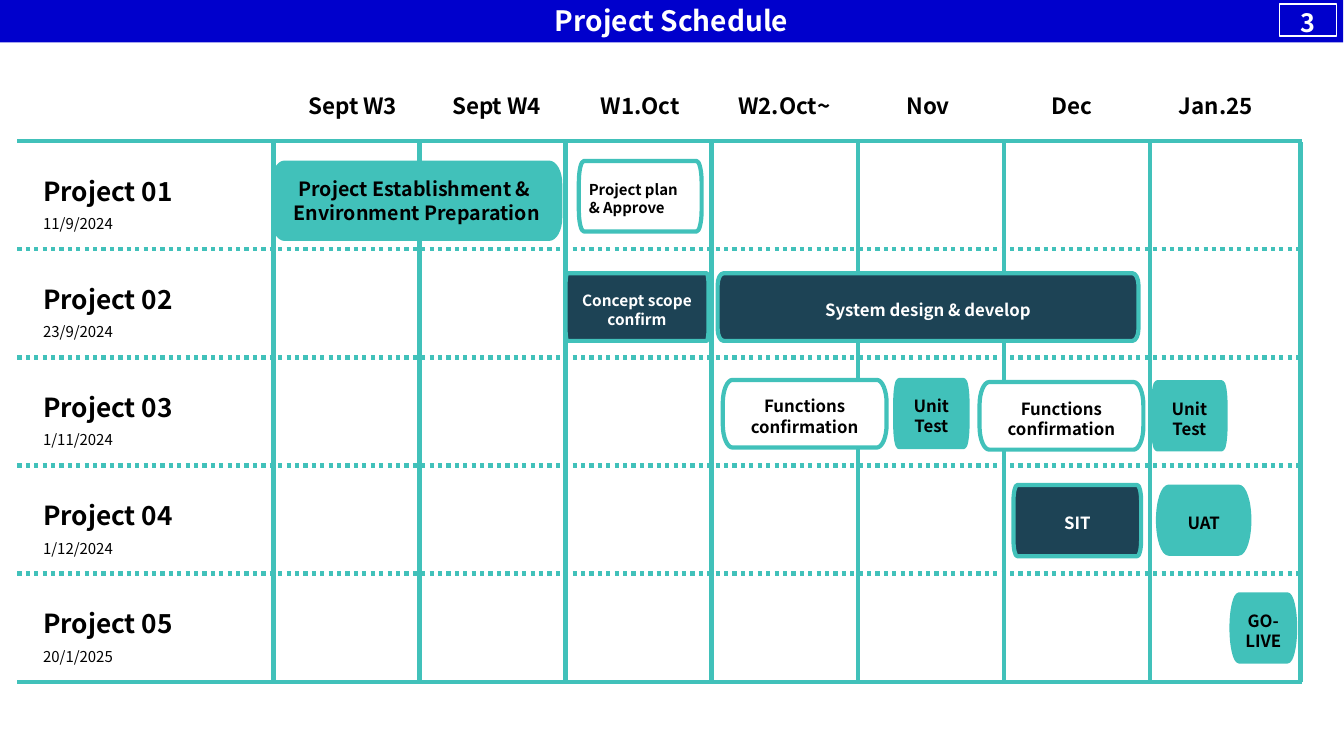
from dataclasses import dataclass
from typing import Any, Optional

from lxml import etree
from pptx import Presentation
from pptx.dml.color import RGBColor
from pptx.enum import dml, shapes, text
from pptx.oxml.ns import qn
from pptx.util import Pt


@dataclass(frozen=True)
class Theme:
    font: str = "Noto Sans CJK JP"
    teal: str = "41C1BA"
    navy: str = "1D4355"
    blue: str = "0000CC"
    white: str = "FFFFFF"
    black: str = "000000"
    title: float = 20
    page: float = 18
    month: float = 16
    project: float = 18.7
    date: float = 10.7
    rule: float = 3


THEME = Theme()
LEFT, CENTER = text.PP_ALIGN.LEFT, text.PP_ALIGN.CENTER


@dataclass(frozen=True)
class Bar:
    label: str
    left: float
    top: float
    width: float
    height: float
    rx: float
    ry: float
    fill: str
    color: str = THEME.black
    size: float = 12
    align: Any = CENTER
    spacing: Optional[float] = None
    insets: tuple = (7.2, 7.2, 7.2, 3.6)


@dataclass(frozen=True)
class Project:
    name: str
    start: str


MONTHS = ["Sept W3", "Sept W4", "W1.Oct", "W2.Oct~", "Nov", "Dec", "Jan.25"]
PROJECTS = [
    Project("Project 01", "11/9/2024"),
    Project("Project 02", "23/9/2024"),
    Project("Project 03", "1/11/2024"),
    Project("Project 04", "1/12/2024"),
    Project("Project 05", "20/1/2025"),
]
BARS = [
    Bar("Project Establishment & \nEnvironment Preparation", 195.3, 116.2, 204.8, 54.4,
        8, 14.8, THEME.teal, size=14, spacing=16.8, insets=(7.2, 3.6, 7.2, 3.6)),
    Bar("Project plan & Approve", 413.5, 115, 87.7, 50.4, 3.6, 15, THEME.white,
        size=10.7, align=LEFT),
    Bar("Concept scope confirm", 404, 195.2, 102.1, 48.3, 1.2, 8.6, THEME.navy,
        THEME.white, size=11),
    Bar("System design & develop", 512.6, 195.2, 300.6, 48.3, 4.3, 8.6, THEME.navy,
        THEME.white),
    Bar("Functions confirmation", 516.3, 271.4, 117, 48.3, 7, 16.5, THEME.white),
    Bar("Unit Test", 639.5, 271.5, 51.6, 47.9, 2.7, 16.5, THEME.teal),
    Bar("Functions confirmation", 699.7, 272.9, 117, 48.3, 7, 16.5, THEME.white),
    Bar("Unit Test", 823.8, 273.1, 51.6, 47.9, 2.7, 16.5, THEME.teal),
    Bar("SIT", 723.9, 346.5, 91.2, 50.8, 2.7, 11.5, THEME.navy, THEME.white),
    Bar("UAT", 827.2, 347.6, 65.2, 47.9, 7.8, 23.9, THEME.teal),
    Bar("GO-LIVE", 879.7, 424.6, 45.4, 47.9, 5.6, 23.9, THEME.teal),
]

# Grid measures
GRID_LEFT, GRID_RIGHT, GRID_TOP, ROW_H = 12.4, 930.2, 100.9, 77.2
COL_LEFT, COL_W, LAST_COL = 195.4, 104.3, 928.9
MONTH_LEFT, MONTH_STEP = 204.5, 102.75
CURVE = 0.55


def rgb(value: str) -> RGBColor:
    return RGBColor.from_string(value)


def write(sp: Any, content: str, *, size: float, color: str, bold: bool = True,
          align: Any = CENTER, spacing: Optional[float] = None,
          insets: tuple = (7.2, 3.6, 7.2, 3.6)) -> None:
    tf = sp.text_frame
    tf.auto_size = text.MSO_AUTO_SIZE.NONE
    tf.word_wrap = True
    tf.vertical_anchor = text.MSO_ANCHOR.MIDDLE
    tf.margin_left, tf.margin_top, tf.margin_right, tf.margin_bottom = map(Pt, insets)
    tf.text = content
    for p in tf.paragraphs:
        p.alignment = align
        if spacing:
            p.line_spacing = Pt(spacing)
        for r in p.runs:
            r.font.name = THEME.font
            r.font.size = Pt(size)
            r.font.bold = bold
            r.font.color.rgb = rgb(color)


def add_label(s: Any, content: str, left: float, top: float, width: float,
              height: float, **fmt: Any) -> None:
    sp = s.shapes.add_textbox(Pt(left), Pt(top), Pt(width), Pt(height))
    write(sp, content, color=THEME.black, insets=(0, 7.2, 0, 0), **fmt)


def add_rule(s: Any, x1: float, y1: float, x2: float, y2: float,
             dotted: bool = False) -> None:
    sp = s.shapes.add_connector(shapes.MSO_CONNECTOR.STRAIGHT,
                                Pt(x1), Pt(y1), Pt(x2), Pt(y2))
    sp.line.color.rgb = rgb(THEME.teal)
    sp.line.width = Pt(THEME.rule)
    if dotted:
        sp.line.dash_style = dml.MSO_LINE.ROUND_DOT
    etree.SubElement(sp._element.spPr, qn("a:effectLst"))


def round_corners(sp: Any) -> None:
    """Turn every second segment of the outline into a curved corner."""
    points = [(int(pt.get("x")), int(pt.get("y")))
              for pt in sp._element.iter(qn("a:pt"))]
    segments = list(sp._element.iter(qn("a:lnTo")))
    for i in range(1, len(segments), 2):
        (x1, y1), (x2, y2) = points[i], points[i + 1]
        cx, cy = (x2, y1) if i % 4 == 1 else (x1, y2)
        segments[i].tag = qn("a:cubicBezTo")
        controls = [(x1 + CURVE * (cx - x1), y1 + CURVE * (cy - y1)),
                    (x2 + CURVE * (cx - x2), y2 + CURVE * (cy - y2))]
        for j, (x, y) in enumerate(controls):
            pt = etree.Element(qn("a:pt"), x=str(round(x)), y=str(round(y)))
            segments[i].insert(j, pt)


def add_bar(s: Any, bar: Bar) -> None:
    left, top = bar.left, bar.top
    right, bottom = left + bar.width, top + bar.height
    x1, x2 = left + bar.rx, right - bar.rx
    y1, y2 = top + bar.ry, bottom - bar.ry
    outline = s.shapes.build_freeform(Pt(x1), Pt(top))
    outline.add_line_segments(
        [(Pt(x), Pt(y)) for x, y in [(x2, top), (right, y1), (right, y2), (x2, bottom),
                                     (x1, bottom), (left, y2), (left, y1), (x1, top)]],
        close=True)
    sp = outline.convert_to_shape()
    round_corners(sp)
    sp.shadow.inherit = False
    sp.fill.solid()
    sp.fill.fore_color.rgb = rgb(bar.fill)
    sp.line.color.rgb = rgb(THEME.teal)
    sp.line.width = Pt(THEME.rule)
    write(sp, bar.label, size=bar.size, color=bar.color, align=bar.align,
          spacing=bar.spacing, insets=bar.insets)


def main() -> None:
    prs = Presentation()
    prs.slide_width, prs.slide_height = Pt(960), Pt(540)
    s = prs.slides.add_slide(prs.slide_layouts[5])

    # Title band
    title = s.shapes.title
    title.left, title.top, title.width, title.height = Pt(0), Pt(-1.4), Pt(959.5), Pt(31.6)
    title.fill.solid()
    title.fill.fore_color.rgb = rgb(THEME.blue)
    write(title, "Project Schedule", size=THEME.title, color=THEME.white)

    # Schedule grid: solid outer rules, dotted rules between projects
    rows = len(PROJECTS)
    for i in range(rows + 1):
        y = GRID_TOP + i * ROW_H
        add_rule(s, GRID_LEFT, y, GRID_RIGHT, y, dotted=0 < i < rows)
    columns = [COL_LEFT + i * COL_W for i in range(len(MONTHS))] + [LAST_COL]
    for x in columns:
        add_rule(s, x, GRID_TOP + rows * ROW_H, x, GRID_TOP + 0.6)

    # Month headings
    for i, month in enumerate(MONTHS):
        add_label(s, month, MONTH_LEFT + i * MONTH_STEP, 64, 95, 22.4,
                  size=THEME.month, spacing=13.1)

    # Project names and start dates
    for i, project in enumerate(PROJECTS):
        y = GRID_TOP + i * ROW_H
        add_label(s, project.name, 30.8, y + 11, 140.4, 38.2,
                  size=THEME.project, align=LEFT, spacing=26.1)
        add_label(s, project.start, 30.8, y + 41.7, 150.5, 25.2,
                  size=THEME.date, bold=False, align=LEFT, spacing=14.9)

    # Task bars
    for bar in BARS:
        add_bar(s, bar)

    # Page number
    page = s.shapes.add_shape(shapes.MSO_SHAPE.RECTANGLE,
                              Pt(914), Pt(2.8), Pt(40.5), Pt(23))
    page.shadow.inherit = False
    page.fill.background()
    page.line.color.rgb = rgb(THEME.white)
    page.line.width = Pt(1)
    write(page, "3", size=THEME.page, color=THEME.white, insets=(7.2, 3.6, 7.2, 0))

    prs.save("out.pptx")


if __name__ == "__main__":
    main()
